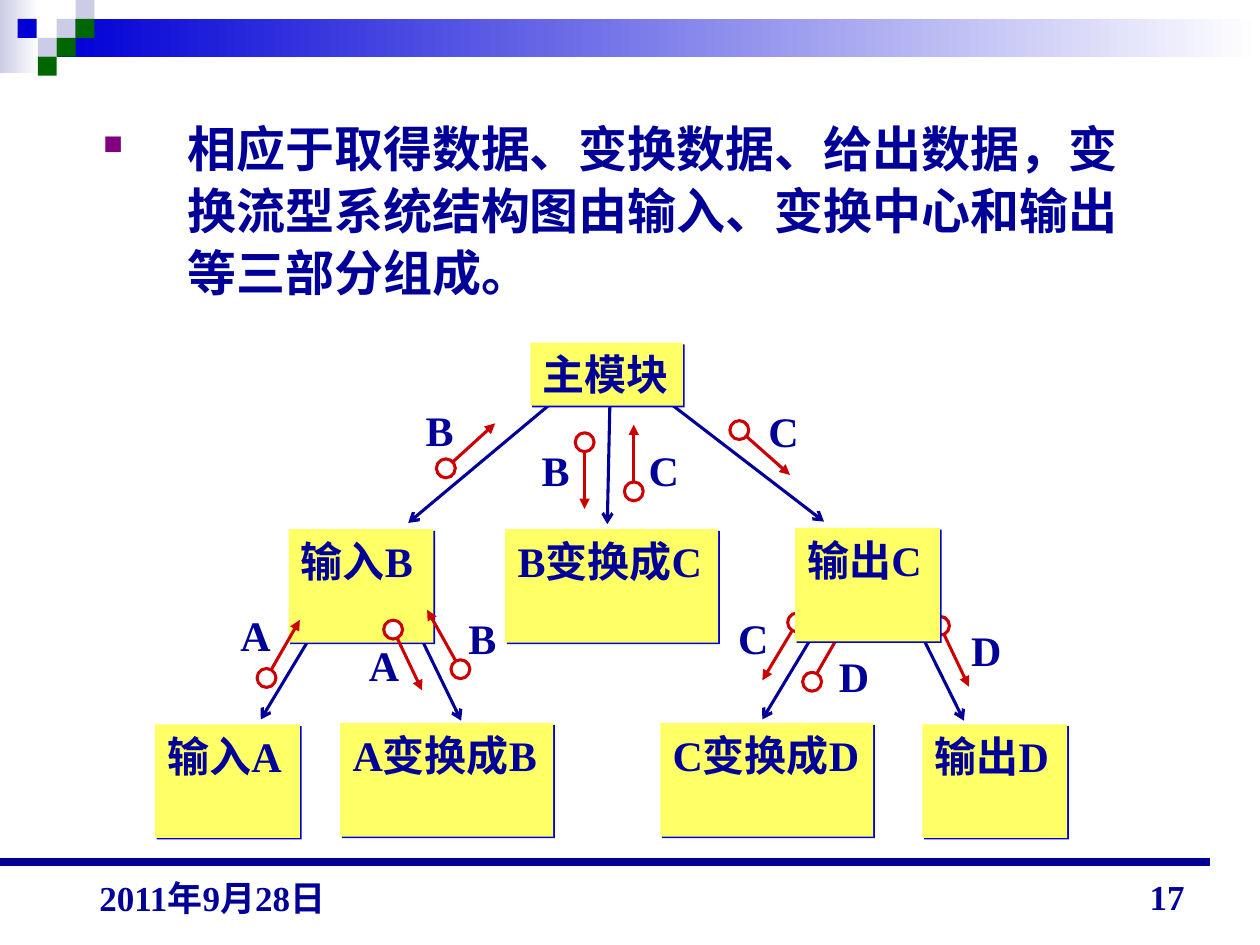
import dataclasses
import math

import pptx
import pptx.dml.color
import pptx.enum.shapes
import pptx.enum.text
import pptx.oxml
import pptx.oxml.ns
import pptx.util

Inches = pptx.util.Inches
Pt = pptx.util.Pt
SHAPES = pptx.enum.shapes.MSO_SHAPE
ALIGN = pptx.enum.text.PP_ALIGN
ANCHOR = pptx.enum.text.MSO_ANCHOR
FIT = pptx.enum.text.MSO_AUTO_SIZE


@dataclasses.dataclass(frozen=True)
class Theme:
    font: str = "Times New Roman"
    navy: str = "000099"
    blue: str = "0000D6"
    lavender: str = "CCCCE6"
    green: str = "006600"
    red: str = "CC0000"
    yellow: str = "FFFF66"
    purple: str = "800080"
    white: str = "FFFFFF"
    body_size: int = 28
    node_size: int = 24
    footer_size: int = 20
    line_width: float = 1.75
    rule_width: float = 4.5


THEME = Theme()
TILE = 0.15
CIRCLE = 0.15
CIRCLE_OFFSET = 0.07

TILES = [
    (0.45, 0.15, THEME.lavender), (0.6, 0, THEME.lavender),
    (0.6, 0.15, THEME.green), (0.3, 0.3, THEME.lavender),
    (0.14, 0.15, THEME.blue), (0.45, 0.3, THEME.green),
    (0.3, 0.45, THEME.green),
]
LINKS = [
    ((6.67, 4.68), (6.05, 5.71)), ((7.13, 4.67), (7.65, 5.72)),
    ((4.84, 3.23), (4.82, 4.16)), ((4.4, 3.18), (3.24, 4.15)),
    ((5.29, 3.18), (6.54, 4.14)), ((2.69, 4.68), (2.07, 5.71)),
    ((3.15, 4.67), (3.66, 5.72)),
]
FLOWS_BEHIND = [
    ((6.48, 5.35), (6.71, 4.95)), ((7.49, 5.03), (7.69, 5.45)),
    ((6.29, 5), (6.05, 5.4)),
]
FLOWS_IN_FRONT = [
    ((4.64, 3.58), (4.64, 4.04)), ((5.03, 3.83), (5.03, 3.37)),
    ((3.59, 3.67), (3.93, 3.36)), ((5.92, 3.46), (6.27, 3.77)),
    ((2.15, 5.32), (2.38, 4.92)), ((3.15, 5.06), (3.35, 5.48)),
    ((3.62, 5.25), (3.39, 4.84)),
]
MODULES = [
    ("主模块", 4.21, 2.72, 1.21, 0.5),
    ("B变换成C", 4.01, 4.2, 1.69, 0.9),
    ("输入B", 2.29, 4.2, 1.15, 0.9),
    ("输出C", 6.31, 4.19, 1.15, 0.9),
    ("A变换成B", 2.7, 5.74, 1.69, 0.9),
    ("输入A", 1.23, 5.75, 1.15, 0.9),
    ("C变换成D", 5.24, 5.74, 1.69, 0.9),
    ("输出D", 7.32, 5.75, 1.15, 0.9),
]
LABELS = [
    ("A", 1.81, 4.79), ("A", 2.83, 5.03), ("B", 3.62, 4.81),
    ("B", 3.28, 3.16), ("B", 4.2, 3.48), ("C", 5.05, 3.48),
    ("C", 6, 3.17), ("C", 5.76, 4.81), ("D", 6.56, 5.11),
    ("D", 7.61, 4.91),
]


def rgb(color):
    return pptx.dml.color.RGBColor.from_string(color)


def add_xml(parent, tag, content="", **attributes):
    values = "".join(f' {name}="{value}"' for name, value in attributes.items())
    namespace = pptx.oxml.ns.nsdecls("a")
    parent.append(pptx.oxml.parse_xml(f"<a:{tag} {namespace}{values}>{content}</a:{tag}>"))


def add_plain_shape(page, kind, left, top, width, height):
    shape = page.shapes.add_shape(kind, *map(Inches, (left, top, width, height)))
    shape.shadow.inherit = False
    shape.line.fill.background()
    return shape


def add_solid(page, kind, left, top, width, height, color):
    shape = add_plain_shape(page, kind, left, top, width, height)
    shape.fill.solid()
    shape.fill.fore_color.rgb = rgb(color)
    return shape


def add_gradient_bar(page, left, top, width, height, color):
    bar = add_plain_shape(page, SHAPES.RECTANGLE, left, top, width, height)
    bar.fill.gradient()
    bar.fill.gradient_angle = 180
    for stop, stop_color in zip(bar.fill.gradient_stops, (THEME.white, color)):
        stop.color.rgb = rgb(stop_color)


def add_line(page, start, end, color, width, arrow=None):
    line = page.shapes.add_connector(
        pptx.enum.shapes.MSO_CONNECTOR.STRAIGHT, *map(Inches, start + end))
    line.line.color.rgb = rgb(color)
    line.line.width = Pt(width)
    properties = line.element.spPr
    if arrow:
        add_xml(properties.find(pptx.oxml.ns.qn("a:ln")), "tailEnd", type=arrow)
    add_xml(properties, "effectLst")


def add_flow(page, start, end):
    add_line(page, start, end, THEME.red, THEME.line_width, "triangle")
    length = math.dist(start, end)
    left, top = (
        first - CIRCLE_OFFSET * (last - first) / length - CIRCLE / 2
        for first, last in zip(start, end))
    circle = add_solid(page, SHAPES.OVAL, left, top, CIRCLE, CIRCLE, THEME.white)
    circle.line.color.rgb = rgb(THEME.red)
    circle.line.width = Pt(THEME.line_width)


def write_text(frame, text, size, align=ALIGN.LEFT):
    paragraph = frame.paragraphs[0]
    paragraph.text = text
    paragraph.alignment = align
    paragraph.font.name = THEME.font
    paragraph.font.size = Pt(size)
    paragraph.font.bold = True
    paragraph.font.color.rgb = rgb(THEME.navy)


def add_module(page, text, left, top, width, height):
    box = add_solid(page, SHAPES.RECTANGLE, left, top, width, height, THEME.yellow)
    effects = box.element.spPr.find(pptx.oxml.ns.qn("a:effectLst"))
    add_xml(effects, "outerShdw", f'<a:srgbClr val="{THEME.blue}"/>',
            dist=Pt(1.4), dir=45 * 60000, algn="ctr", rotWithShape=0)
    frame = box.text_frame
    frame.word_wrap = True
    frame.auto_size = FIT.SHAPE_TO_FIT_TEXT
    frame.vertical_anchor = ANCHOR.TOP
    write_text(frame, text, THEME.node_size)


def add_text(page, text, left, top, width, height, size,
             align=ALIGN.LEFT, anchor=ANCHOR.TOP, wrap=True):
    box = page.shapes.add_textbox(*map(Inches, (left, top, width, height)))
    frame = box.text_frame
    frame.word_wrap = wrap
    frame.vertical_anchor = anchor
    if not wrap:
        frame.auto_size = FIT.SHAPE_TO_FIT_TEXT
    write_text(frame, text, size, align)
    return box


def add_bullet_text(page, text, left, top, width, height):
    box = page.shapes.add_textbox(*map(Inches, (left, top, width, height)))
    box.text_frame.word_wrap = True
    paragraph = box.text_frame.paragraphs[0]
    paragraph.line_spacing = 1.05
    properties = paragraph._p.get_or_add_pPr()
    properties.set("marL", str(Inches(0.67)))
    properties.set("indent", str(Inches(-0.67)))
    add_xml(properties, "buClr", f'<a:srgbClr val="{THEME.purple}"/>')
    add_xml(properties, "buSzPct", val=55000)
    add_xml(properties, "buChar", char="■")
    write_text(box.text_frame, text, THEME.body_size)


def add_decoration(page):
    add_gradient_bar(page, 0, 0, 0.31, 0.58, THEME.lavender)
    add_gradient_bar(page, 0.45, 0.15, 9.55, 0.3, THEME.blue)
    for left, top, color in TILES:
        add_solid(page, SHAPES.RECTANGLE, left, top, TILE, TILE, color)
    add_line(page, (0, 6.84), (9.6, 6.84), THEME.navy, THEME.rule_width)


def add_structure_chart(page):
    for start, end in LINKS:
        add_line(page, start, end, THEME.navy, THEME.line_width, "arrow")
    for start, end in FLOWS_BEHIND:
        add_flow(page, start, end)
    for module in MODULES:
        add_module(page, *module)
    for start, end in FLOWS_IN_FRONT:
        add_flow(page, start, end)
    for text, left, top in LABELS:
        add_text(page, text, left, top, 0.44, 0.5, THEME.node_size, wrap=False)


def main():
    deck = pptx.Presentation()
    deck.slide_width, deck.slide_height = Inches(10), Inches(7.5)
    page = deck.slides.add_slide(deck.slide_layouts[6])
    add_decoration(page)
    add_bullet_text(
        page,
        "相应于取得数据、变换数据、给出数据，变换流型系统结构图由输入、变换中心和输出等三部分组成。",
        0.72, 0.87, 8.5, 1.62)
    add_structure_chart(page)
    add_text(page, "17", 7.17, 6.83, 2.33, 0.5, THEME.footer_size,
             ALIGN.RIGHT, ANCHOR.BOTTOM)
    add_text(page, "2011年9月28日", 0.69, 6.82, 2.33, 0.52, THEME.footer_size,
             anchor=ANCHOR.BOTTOM)
    deck.save("out.pptx")


if __name__ == "__main__":
    main()
